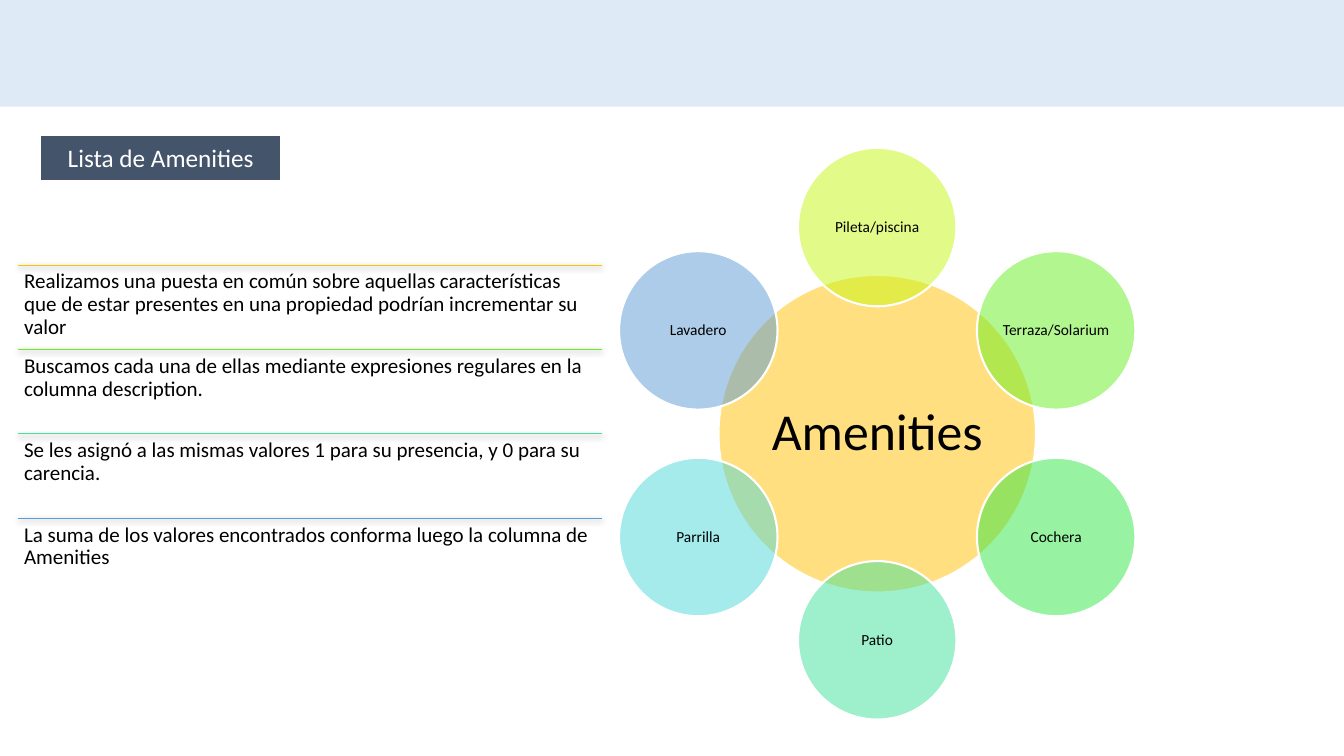
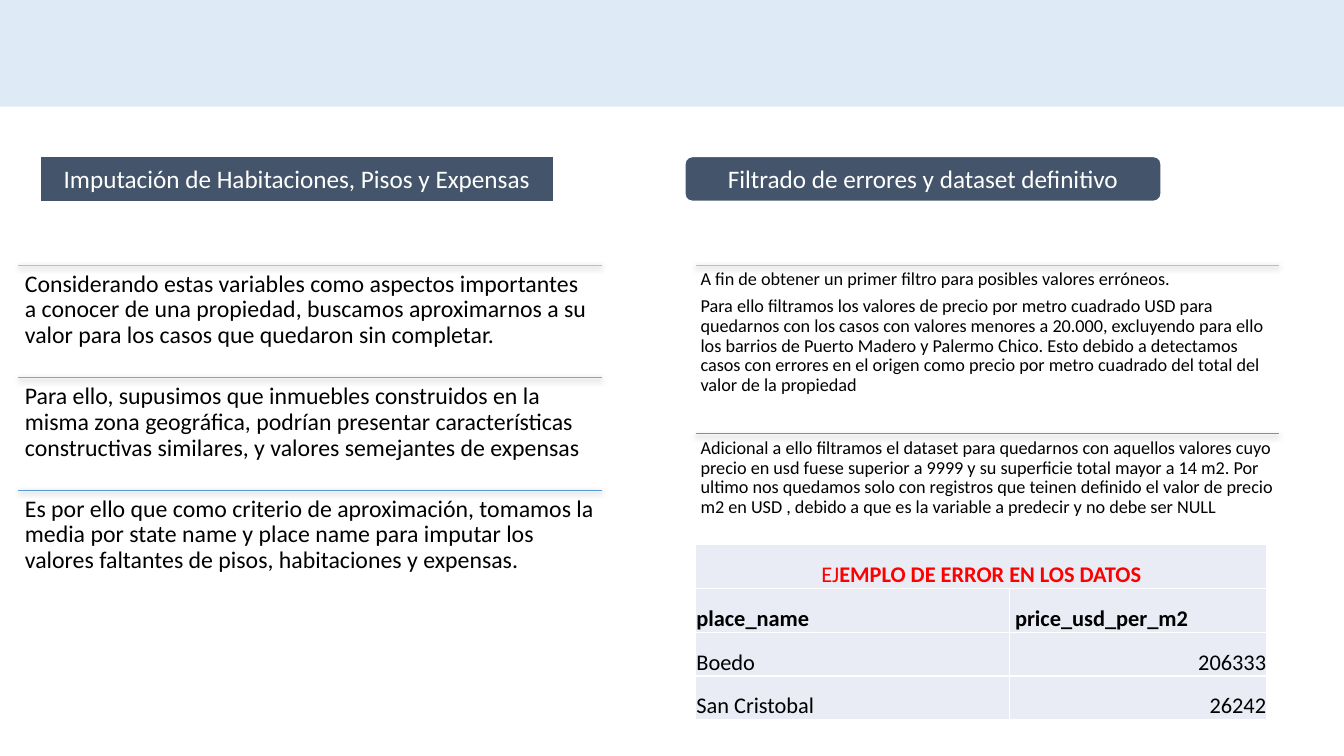
from dataclasses import dataclass
from math import cos, radians, sin
from typing import Any

from pptx import Presentation
from pptx.dml.color import RGBColor
from pptx.enum.shapes import MSO_CONNECTOR, MSO_SHAPE
from pptx.enum.text import MSO_ANCHOR, MSO_AUTO_SIZE, PP_ALIGN
from pptx.oxml import parse_xml
from pptx.oxml.ns import nsdecls, qn
from pptx.util import Pt

COLORS = {
    "band": "DEEBF7", "pill": "44546A", "white": "FFFFFF", "black": "000000",
    "gold": "FFC000", "lime": "C7F711", "leaf": "67EF21", "green": "30E845",
    "mint": "3FE19B", "aqua": "4DD8DB", "blue": "5B9BD5",
    "red": "FF0000", "cell": "E9EBF5",
}
FONT = "Calibri"
SLIDE_W, SLIDE_H = 960, 540
BAND_H = 76.2
PILL_X, PILL_H = 28.8, 32
LIST_Y, LIST_W, LIST_H = 189.2, 417, 241.2
LEFT_X, RIGHT_X = 13, 496.8


@dataclass
class Entry:
    color: str
    paragraphs: list[str]


@dataclass
class Circle:
    label: str
    color: str
    diameter: float
    size: float
    inset: float


@dataclass
class Cell:
    runs: list[tuple[str, bool]]
    color: str = "black"
    align: Any = PP_ALIGN.LEFT
    left: float = 0.7


def rgb(name: str) -> RGBColor:
    return RGBColor.from_string(COLORS[name])


def apply(obj: Any, formats: dict[str, Any]) -> None:
    for name, value in formats.items():
        setattr(obj, name, value)


def margins(inset: float) -> dict[str, Any]:
    return {f"margin_{side}": Pt(inset) for side in ("left", "top", "right", "bottom")}


def add_run(p: Any, text: str, size: float, color: str, bold: bool = False) -> None:
    r = p.add_run()
    r.text = text
    apply(r.font, {"name": FONT, "size": Pt(size), "bold": bold})
    r.font.color.rgb = rgb(color)


def paint(sp: Any, fill: str, line: str | None = None, width: float = 1) -> None:
    sp.fill.solid()
    sp.fill.fore_color.rgb = rgb(fill)
    if line:
        sp.line.color.rgb = rgb(line)
        sp.line.width = Pt(width)
    else:
        sp.line.fill.background()


def add_shape(s: Any, kind: Any, x: float, y: float, w: float, h: float) -> Any:
    sp = s.shapes.add_shape(kind, Pt(x), Pt(y), Pt(w), Pt(h))
    sp.shadow.inherit = False
    return sp


# Headings
def style_pill(sp: Any, text: str) -> None:
    paint(sp, "pill", "white")
    apply(sp.text_frame, {"auto_size": MSO_AUTO_SIZE.NONE, "word_wrap": True,
                          "vertical_anchor": MSO_ANCHOR.MIDDLE})
    p = sp.text_frame.paragraphs[0]
    p.alignment = PP_ALIGN.CENTER
    add_run(p, text, 18, "white")


def add_slide(prs: Any, title: str, y: float, width: float) -> Any:
    s = prs.slides.add_slide(prs.slide_layouts[5])
    paint(add_shape(s, MSO_SHAPE.RECTANGLE, 0, 0, SLIDE_W, BAND_H), "band")
    sp = s.shapes.title
    apply(sp, {"left": Pt(PILL_X), "top": Pt(y), "width": Pt(width), "height": Pt(PILL_H)})
    # Rounded outline for the title placeholder
    geometry = parse_xml(f'<a:prstGeom {nsdecls("a")} prst="roundRect"><a:avLst/></a:prstGeom>')
    sp._element.spPr.find(qn("a:xfrm")).addnext(geometry)
    style_pill(sp, title)
    return s


# Ruled lists
def add_rule(s: Any, x: float, y: float, color: str) -> None:
    line = s.shapes.add_connector(MSO_CONNECTOR.STRAIGHT, Pt(x), Pt(y), Pt(x + LIST_W), Pt(y))
    line.line.color.rgb = rgb(color)
    line.line.width = Pt(0.5)
    line._element.spPr.append(parse_xml(
        f'<a:effectLst {nsdecls("a")}><a:outerShdw blurRad="57150" dist="19050" dir="5400000"'
        f' algn="ctr" rotWithShape="0"><a:srgbClr val="{COLORS["black"]}">'
        '<a:alpha val="63000"/></a:srgbClr></a:outerShdw></a:effectLst>'))


def add_ruled_list(s: Any, x: float, size: float, entries: list[Entry]) -> None:
    step = LIST_H / len(entries)
    for i, entry in enumerate(entries):
        y = LIST_Y + i * step
        add_rule(s, x, y, entry.color)
        tf = s.shapes.add_textbox(Pt(x), Pt(y), Pt(LIST_W), Pt(step)).text_frame
        apply(tf, {"word_wrap": True, **margins(size * 0.28)})
        for j, text in enumerate(entry.paragraphs):
            p = tf.add_paragraph() if j else tf.paragraphs[0]
            apply(p, {"line_spacing": 0.9, "space_after": Pt(size * 0.4)})
            add_run(p, text, size, "black")


# Radial diagram
def add_circle(s: Any, circle: Circle, cx: float, cy: float) -> None:
    d = circle.diameter
    sp = add_shape(s, MSO_SHAPE.OVAL, cx - d / 2, cy - d / 2, d, d)
    paint(sp, circle.color, "white", 1.5)
    fill_color = sp._element.spPr.find(qn("a:solidFill"))[0]
    fill_color.append(parse_xml(f'<a:alpha {nsdecls("a")} val="50000"/>'))
    tf = sp.text_frame
    apply(tf, {"word_wrap": False, "vertical_anchor": MSO_ANCHOR.MIDDLE, **margins(circle.inset)})
    p = tf.paragraphs[0]
    apply(p, {"alignment": PP_ALIGN.CENTER, "line_spacing": 0.9})
    add_run(p, circle.label, circle.size, "black")


def add_radial(s: Any, hub: str, satellites: list[tuple[str, str]]) -> None:
    cx, cy, radius = 626.6, 309.8, 147.6
    add_circle(s, Circle(hub, "gold", 226.8, 37, 3.4), cx, cy)
    for i, (label, color) in enumerate(satellites):
        angle = radians(360 / len(satellites) * i)
        add_circle(s, Circle(label, color, 113.2, 11, 1.4),
                   cx + radius * sin(angle), cy - radius * cos(angle))


# Table
def fill_cell(cell: Any, content: Cell) -> None:
    cell.fill.solid()
    cell.fill.fore_color.rgb = rgb("cell")
    apply(cell, {"vertical_anchor": MSO_ANCHOR.BOTTOM, **margins(0.7),
                 "margin_left": Pt(content.left), "margin_bottom": Pt(0)})
    p = cell.text_frame.paragraphs[0]
    p.alignment = content.align
    for text, bold in content.runs:
        add_run(p, text, 16, content.color, bold)


def add_borders(cell: Any) -> None:
    tc_pr = cell._tc.get_or_add_tcPr()
    for i, edge in enumerate(("lnL", "lnR", "lnT", "lnB")):
        tc_pr.insert(i, parse_xml(
            f'<a:{edge} {nsdecls("a")} w="12700"><a:solidFill>'
            f'<a:srgbClr val="{COLORS["white"]}"/></a:solidFill></a:{edge}>'))


def add_error_table(s: Any, rows: list[list[Cell]]) -> None:
    widths, row_h = (224, 184.3), 31.3
    table = s.shapes.add_table(len(rows), len(widths), Pt(RIGHT_X), Pt(389),
                               Pt(sum(widths)), Pt(row_h * len(rows))).table
    apply(table, {"first_row": False, "horz_banding": False})
    for column, width in zip(table.columns, widths):
        column.width = Pt(width)
    table.cell(0, 0).merge(table.cell(0, 1))
    for i, row in enumerate(rows):
        table.rows[i].height = Pt(row_h)
        for j, content in enumerate(row):
            fill_cell(table.cell(i, j), content)
    for cell in table.iter_cells():
        add_borders(cell)


def build_amenities(prs: Any) -> None:
    s = add_slide(prs, "Lista de Amenities", 96.8, 172)
    add_radial(s, "Amenities", [
        ("Pileta/piscina", "lime"), ("Terraza/Solarium", "leaf"), ("Cochera", "green"),
        ("Patio", "mint"), ("Parrilla", "aqua"), ("Lavadero", "blue"),
    ])
    add_ruled_list(s, LEFT_X, 15, [
        Entry("gold", ["Realizamos una puesta en común sobre aquellas características que de estar "
                       "presentes en una propiedad podrían incrementar su valor"]),
        Entry("leaf", ["Buscamos cada una de ellas mediante expresiones regulares en la columna "
                       "description."]),
        Entry("mint", ["Se les asignó a las mismas valores 1 para su presencia, y 0 para su "
                       "carencia."]),
        Entry("blue", ["La suma de los valores encontrados conforma luego la columna de "
                       "Amenities"]),
    ])


def build_cleaning(prs: Any) -> None:
    y = 111.8
    s = add_slide(prs, "Imputación de Habitaciones, Pisos y Expensas", y, 366.4)
    style_pill(add_shape(s, MSO_SHAPE.ROUNDED_RECTANGLE, 489.2, y, 340.2, PILL_H),
               "Filtrado de errores y dataset definitivo")
    add_ruled_list(s, LEFT_X, 17, [
        Entry("gold", ["Considerando estas variables como aspectos importantes a conocer de una "
                       "propiedad, buscamos aproximarnos a su valor para los casos que quedaron "
                       "sin completar."]),
        Entry("green", ["Para ello, supusimos que inmuebles construidos en la misma zona "
                        "geográfica, podrían presentar características constructivas similares, "
                        "y valores semejantes de expensas"]),
        Entry("blue", ["Es por ello que como criterio de aproximación, tomamos la media por state "
                       "name y place name para imputar los valores faltantes de pisos, "
                       "habitaciones y expensas."]),
    ])
    add_ruled_list(s, RIGHT_X, 13, [
        Entry("gold", ["A fin de obtener un primer filtro para posibles valores erróneos.",
                       "Para ello filtramos los valores de precio por metro cuadrado USD para "
                       "quedarnos con los casos con valores menores a 20.000, excluyendo para "
                       "ello los barrios de Puerto Madero y Palermo Chico. Esto debido a "
                       "detectamos casos con errores en el origen como precio por metro cuadrado "
                       "del total del valor de la propiedad"]),
        Entry("blue", ["Adicional a ello filtramos el dataset para quedarnos con aquellos valores "
                       "cuyo precio en usd fuese superior a 9999 y su superficie total mayor a "
                       "14 m2. Por ultimo nos quedamos solo con registros que teinen definido el "
                       "valor de precio m2 en USD , debido a que es la variable a predecir y no "
                       "debe ser NULL"]),
    ])
    add_error_table(s, [
        [Cell([("EJ", False), ("EMPLO DE ERROR EN LOS DATOS", True)], "red", PP_ALIGN.CENTER)],
        [Cell([("place_name", True)]), Cell([("price_usd_per_m2", True)], left=4.3)],
        [Cell([("Boedo", False)]), Cell([("206333", False)], align=PP_ALIGN.RIGHT)],
        [Cell([("San Cristobal", False)]), Cell([("26242", False)], align=PP_ALIGN.RIGHT)],
    ])


def main() -> None:
    prs = Presentation()
    apply(prs, {"slide_width": Pt(SLIDE_W), "slide_height": Pt(SLIDE_H)})
    build_amenities(prs)
    build_cleaning(prs)
    prs.save("out.pptx")


if __name__ == "__main__":
    main()
